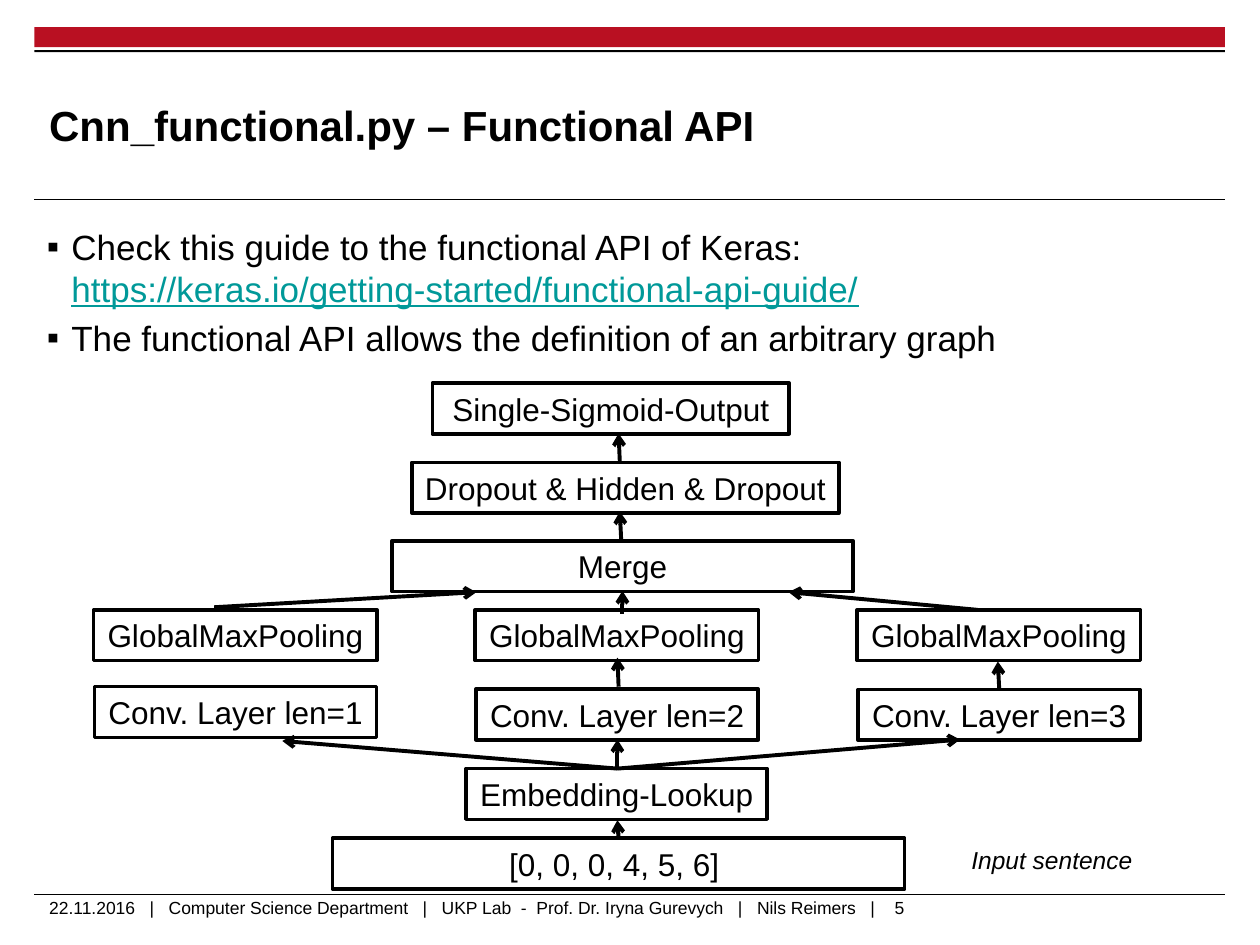
import pptx
import pptx.util
import pptx.dml.color
import pptx.enum.shapes
import pptx.enum.text
import pptx.oxml.ns
from dataclasses import dataclass
from lxml import etree

Pt = pptx.util.Pt
Align = pptx.enum.text.PP_ALIGN
Anchor = pptx.enum.text.MSO_ANCHOR
Shape = pptx.enum.shapes.MSO_SHAPE
COLORS = {"black": "000000", "white": "FFFFFF", "red": "B91022", "link": "009999"}
FONT = "Arial"
BOX_HEIGHT = 29
POOL_TOP = 348.5
COLUMNS = (54, 272, 490.3)


@dataclass(frozen=True)
class Node:
    text: str
    x: float
    y: float
    w: float


@dataclass(frozen=True)
class Arrow:
    x1: float
    y1: float
    x2: float
    y2: float


@dataclass(frozen=True)
class Label:
    text: str
    x: float
    y: float
    w: float
    h: float
    size: float
    italic: bool = False


NODES = [
    Node("[0, 0, 0, 4, 5, 6] ", 190, 479, 327),
    Node("Embedding-Lookup", 266.4, 439.2, 172),
    *[Node(f"Conv. Layer len={i}", x, y, 161.3)
      for i, (x, y) in enumerate(zip(COLUMNS, (392.4, 393.8, 394)), 1)],
    *[Node("GlobalMaxPooling", x - 0.5, POOL_TOP, 162) for x in COLUMNS],
    Node("Merge", 224, 309, 263.5),
    Node("Dropout & Hidden & Dropout", 235.4, 264.2, 244),
    Node("Single-Sigmoid-Output", 247, 218.9, 204),
]

ARROWS = [
    Arrow(353.5, 478.8, 352.8, 468.7),
    Arrow(352.8, 439.2, 352.8, 422.6),
    Arrow(352.8, 439.2, 161.3, 423.4),
    Arrow(352.8, 439.2, 548.6, 422.6),
    Arrow(353.5, 392.4, 352.8, 375.8),
    Arrow(571, 393.8, 570.2, 378),
    Arrow(122.4, 347, 272.2, 338.4),
    Arrow(355.7, 350.6, 355.7, 337.7),
    Arrow(558.7, 348.5, 450.7, 338.4),
    Arrow(355, 308.9, 354.2, 292.3),
    Arrow(354.2, 264.2, 353.5, 247.7),
]

LABELS = [
    Label("5", 511.2, 512.6, 25, 18, 10),
    Label("22.11.2016   |   Computer Science Department   |   UKP Lab  -  "
          "Prof. Dr. Iryna Gurevych   |   Nils Reimers   |",
          28.1, 512.6, 480, 18, 10),
    Label("Input sentence", 555.1, 483.1, 100, 20, 14, True),
]


def rgb(name: str) -> pptx.dml.color.RGBColor:
    return pptx.dml.color.RGBColor.from_string(COLORS[name])


def add_run(p, text: str, size: float, color: str = "black", bold: bool = False,
            italic: bool = False, underline: bool = False) -> None:
    r = p.add_run()
    r.text = text
    r.font.name = FONT
    r.font.size = Pt(size)
    r.font.bold = bold
    r.font.italic = italic
    r.font.underline = underline
    r.font.color.rgb = rgb(color)


def place(sp, x: float, y: float, w: float, h: float) -> None:
    sp.left, sp.top, sp.width, sp.height = Pt(x), Pt(y), Pt(w), Pt(h)


def clear_margins(tf) -> None:
    tf.margin_left = tf.margin_right = tf.margin_top = tf.margin_bottom = 0


def add_bar(s, y: float, h: float, color: str) -> None:
    sp = s.shapes.add_shape(Shape.RECTANGLE, Pt(19.6), Pt(y), Pt(680.4), Pt(h))
    sp.shadow.inherit = False
    sp.fill.solid()
    sp.fill.fore_color.rgb = rgb(color)
    sp.line.fill.background()


def add_line(s, line: Arrow, width: float, arrowhead: bool) -> None:
    sp = s.shapes.add_connector(pptx.enum.shapes.MSO_CONNECTOR.STRAIGHT,
                                Pt(line.x1), Pt(line.y1), Pt(line.x2), Pt(line.y2))
    sp.line.color.rgb = rgb("black")
    sp.line.width = Pt(width)
    if arrowhead:
        ln = sp.line._get_or_add_ln()
        etree.SubElement(ln, pptx.oxml.ns.qn("a:tailEnd"), type="arrow")
    etree.SubElement(sp._element.spPr, pptx.oxml.ns.qn("a:effectLst"))


def add_node(s, node: Node) -> None:
    sp = s.shapes.add_shape(Shape.RECTANGLE, Pt(node.x), Pt(node.y),
                            Pt(node.w), Pt(BOX_HEIGHT))
    sp.shadow.inherit = False
    sp.fill.solid()
    sp.fill.fore_color.rgb = rgb("white")
    sp.line.color.rgb = rgb("black")
    sp.line.width = Pt(2)
    tf = sp.text_frame
    tf.word_wrap = False
    tf.vertical_anchor = Anchor.MIDDLE
    p = tf.paragraphs[0]
    p.alignment = Align.CENTER
    add_run(p, node.text, 18)


def add_label(s, label: Label) -> None:
    sp = s.shapes.add_textbox(Pt(label.x), Pt(label.y), Pt(label.w), Pt(label.h))
    tf = sp.text_frame
    tf.word_wrap = False
    clear_margins(tf)
    add_run(tf.paragraphs[0], label.text, label.size, italic=label.italic)


def format_bullet(p) -> None:
    p.space_before = Pt(4)
    pPr = p._p.get_or_add_pPr()
    pPr.set("marL", str(Pt(14)))
    pPr.set("indent", str(-Pt(14)))
    etree.SubElement(pPr, pptx.oxml.ns.qn("a:buFont"), typeface=FONT)
    etree.SubElement(pPr, pptx.oxml.ns.qn("a:buChar"), char="▪")


def fill_title(sp) -> None:
    place(sp, 28.1, 38.2, 541.4, 66.2)
    tf = sp.text_frame
    tf.auto_size = pptx.enum.text.MSO_AUTO_SIZE.NONE
    tf.vertical_anchor = Anchor.MIDDLE
    clear_margins(tf)
    p = tf.paragraphs[0]
    p.alignment = Align.LEFT
    add_run(p, "Cnn_functional.py – Functional API", 24, bold=True)


def fill_body(sp) -> None:
    place(sp, 19.6, 125.3, 680.4, 87.8)
    tf = sp.text_frame
    tf.auto_size = pptx.enum.text.MSO_AUTO_SIZE.NONE
    p = tf.paragraphs[0]
    format_bullet(p)
    add_run(p, "Check this guide to the functional API of Keras:", 20)
    p.add_line_break()
    add_run(p, "https://keras.io/getting-started/functional-api-guide/", 20,
            "link", underline=True)
    p = tf.add_paragraph()
    format_bullet(p)
    add_run(p, "The functional API allows the definition of an arbitrary graph", 20)


def main() -> None:
    prs = pptx.Presentation()
    prs.slide_width, prs.slide_height = Pt(720), Pt(540)
    s = prs.slides.add_slide(prs.slide_layouts[1])
    add_bar(s, 15.6, 11.4, "red")
    add_bar(s, 28.6, 1.2, "black")
    for y in (114.2, 511.2):
        add_line(s, Arrow(19.6, y, 700, y), 0.6, False)
    fill_title(s.shapes.title)
    fill_body(s.placeholders[1])
    for node in NODES:
        add_node(s, node)
    for arrow in ARROWS:
        add_line(s, arrow, 2.25, True)
    for label in LABELS:
        add_label(s, label)
    prs.save("out.pptx")


if __name__ == "__main__":
    main()
